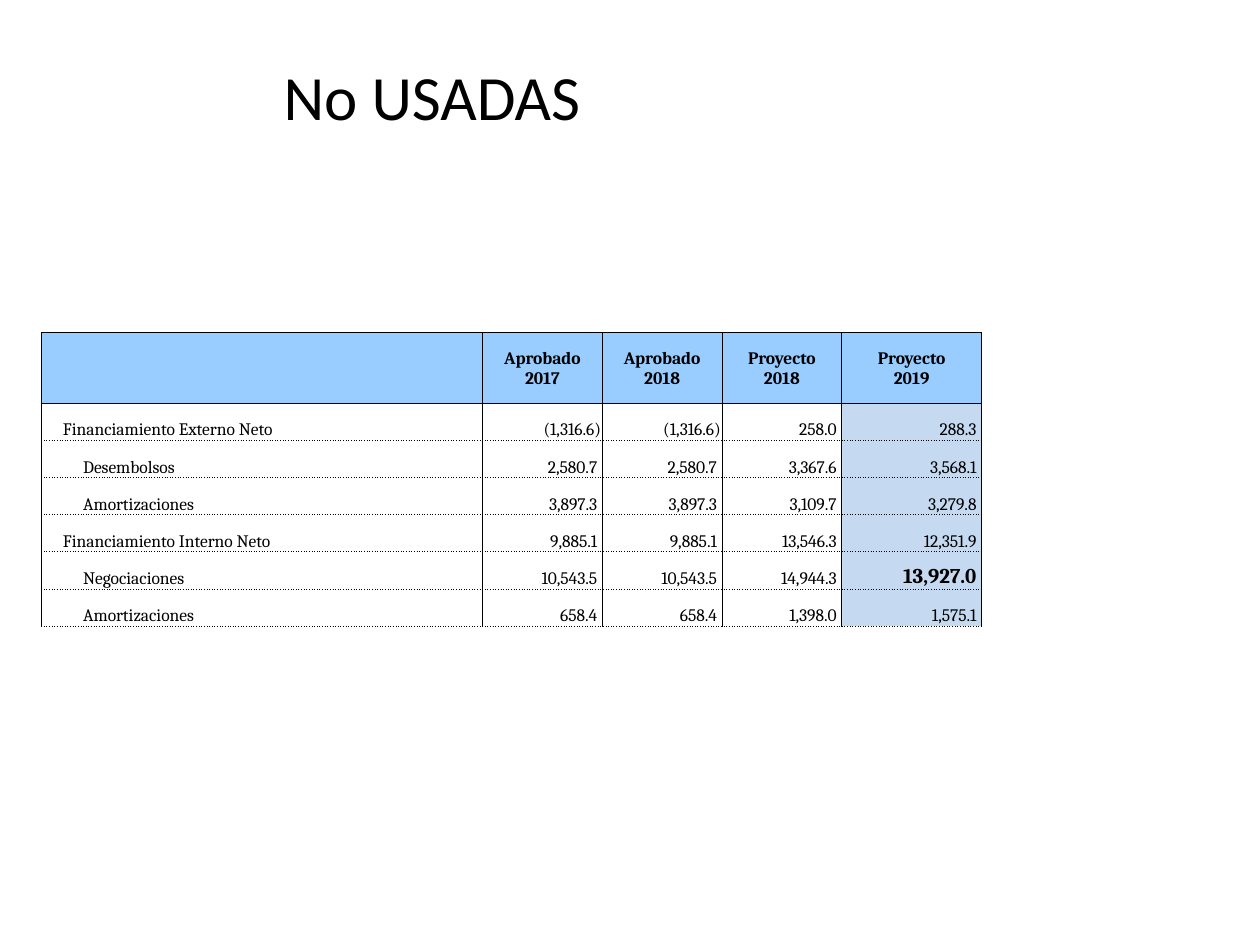
from dataclasses import dataclass

from lxml import etree
from pptx import Presentation
from pptx.dml.color import RGBColor
from pptx.enum.text import MSO_ANCHOR, MSO_AUTO_SIZE, PP_ALIGN
from pptx.oxml.ns import qn
from pptx.util import Inches, Pt

LEFT, CENTER, RIGHT = PP_ALIGN.LEFT, PP_ALIGN.CENTER, PP_ALIGN.RIGHT
TOP, MIDDLE, BOTTOM = MSO_ANCHOR.TOP, MSO_ANCHOR.MIDDLE, MSO_ANCHOR.BOTTOM
TITLE_ONLY = 5

TITLE = "No USADAS"
HEADINGS = ["", "Aprobado\n2017", "Aprobado\n2018", "Proyecto\n2018", "Proyecto\n2019"]
FINANCING = [
    (1, "Financiamiento Externo Neto", "(1,316.6)", "(1,316.6)", "258.0 ", "288.3 "),
    (2, "Desembolsos", "2,580.7 ", "2,580.7 ", "3,367.6 ", "3,568.1 "),
    (2, "Amortizaciones", "3,897.3 ", "3,897.3 ", "3,109.7 ", "3,279.8 "),
    (1, "Financiamiento Interno Neto", "9,885.1 ", "9,885.1 ", "13,546.3 ", "12,351.9 "),
    (2, "Negociaciones", "10,543.5 ", "10,543.5 ", "14,944.3 ", "13,927.0 "),
    (2, "Amortizaciones", "658.4 ", "658.4 ", "1,398.0 ", "1,575.1 "),
]
HIGHLIGHT = "13,927.0 "

COLUMN_WIDTHS = [3.5, 0.95, 0.95, 0.95, 1.11]
TABLE_LEFT, TABLE_TOP, TABLE_HEIGHT = 0.33, 2.64, 2.33
HEADER_HEIGHT = 0.56
INDENT, INSET = 0.16, 0.01


@dataclass(frozen=True)
class Theme:
    title_font: str = "Calibri"
    table_font: str = "Cambria"
    title_size: int = 36
    table_size: int = 10
    highlight_size: int = 12
    ink: str = "000000"
    header: str = "99CCFF"
    current_year: str = "C5D9F1"
    paper: str = "FFFFFF"
    border: float = 0.5


THEME = Theme()


def write(frame, text, font=THEME.table_font, size=THEME.table_size, bold=False,
          align=LEFT, anchor=BOTTOM):
    frame.vertical_anchor = anchor
    paragraph = frame.paragraphs[0]
    paragraph.alignment = align
    paragraph.text = text
    for run in paragraph.runs:
        style(run, font, size, bold)
    for line_break in paragraph._p.findall(qn("a:br")):
        etree.SubElement(line_break, qn("a:rPr"), sz=str(size * 100))
    return paragraph


def style(run, font, size, bold):
    run.font.name = font
    run.font.size = Pt(size)
    run.font.bold = bold
    run.font.color.rgb = RGBColor.from_string(THEME.ink)


def add_borders(cell, top, bottom):
    properties = cell._tc.get_or_add_tcPr()
    dashes = [("L", "solid"), ("R", "solid"), ("T", top), ("B", bottom)]
    for position, (side, dash) in enumerate(dashes):
        line = etree.Element(qn(f"a:ln{side}"), w=str(Pt(THEME.border)))
        fill = etree.SubElement(line, qn("a:solidFill"))
        etree.SubElement(fill, qn("a:srgbClr"), val=THEME.ink)
        etree.SubElement(line, qn("a:prstDash"), val=dash)
        properties.insert(position, line)


def format_cell(cell, fill, top, bottom, indent=0):
    cell.margin_left = Inches(INSET + indent * INDENT)
    cell.margin_top = cell.margin_right = Inches(INSET)
    cell.margin_bottom = 0
    cell.fill.solid()
    cell.fill.fore_color.rgb = RGBColor.from_string(fill)
    add_borders(cell, top, bottom)


def add_title(slide):
    title = slide.shapes.title
    title.left, title.top = Inches(2.15), Inches(0.41)
    title.width, title.height = Inches(4.02), Inches(0.71)
    title.text_frame.auto_size = MSO_AUTO_SIZE.SHAPE_TO_FIT_TEXT
    write(title.text_frame, TITLE, font=THEME.title_font, size=THEME.title_size, anchor=TOP)


def add_financing_table(slide):
    table = slide.shapes.add_table(
        len(FINANCING) + 1, len(HEADINGS), Inches(TABLE_LEFT), Inches(TABLE_TOP),
        Inches(sum(COLUMN_WIDTHS)), Inches(TABLE_HEIGHT)).table
    table.first_row = table.horz_banding = False
    for column, width in zip(table.columns, COLUMN_WIDTHS):
        column.width = Inches(width)
    row_height = (TABLE_HEIGHT - HEADER_HEIGHT) / len(FINANCING)
    for number, row in enumerate(table.rows):
        row.height = Inches(row_height if number else HEADER_HEIGHT)

    for column, heading in enumerate(HEADINGS):
        cell = table.cell(0, column)
        format_cell(cell, THEME.header, "solid", "solid")
        write(cell.text_frame, heading, bold=True, align=CENTER)
        cell.vertical_anchor = MIDDLE

    last = len(HEADINGS) - 1
    for number, (level, *entries) in enumerate(FINANCING, start=1):
        for column, entry in enumerate(entries):
            cell = table.cell(number, column)
            format_cell(cell, THEME.current_year if column == last else THEME.paper,
                        "solid" if number == 1 else "sysDot", "sysDot",
                        indent=0 if column else level)
            cell.vertical_anchor = BOTTOM
            if entry == HIGHLIGHT:
                amount = write(cell.text_frame, entry.rstrip(), size=THEME.highlight_size,
                               bold=True, align=RIGHT)
                space = amount.add_run()
                space.text = " "
                style(space, THEME.table_font, THEME.table_size, False)
            else:
                write(cell.text_frame, entry, align=RIGHT if column else LEFT)


def main():
    presentation = Presentation()
    presentation.slide_width, presentation.slide_height = Inches(10), Inches(7.5)
    slide = presentation.slides.add_slide(presentation.slide_layouts[TITLE_ONLY])
    add_financing_table(slide)
    add_title(slide)
    presentation.save("out.pptx")


if __name__ == "__main__":
    main()
